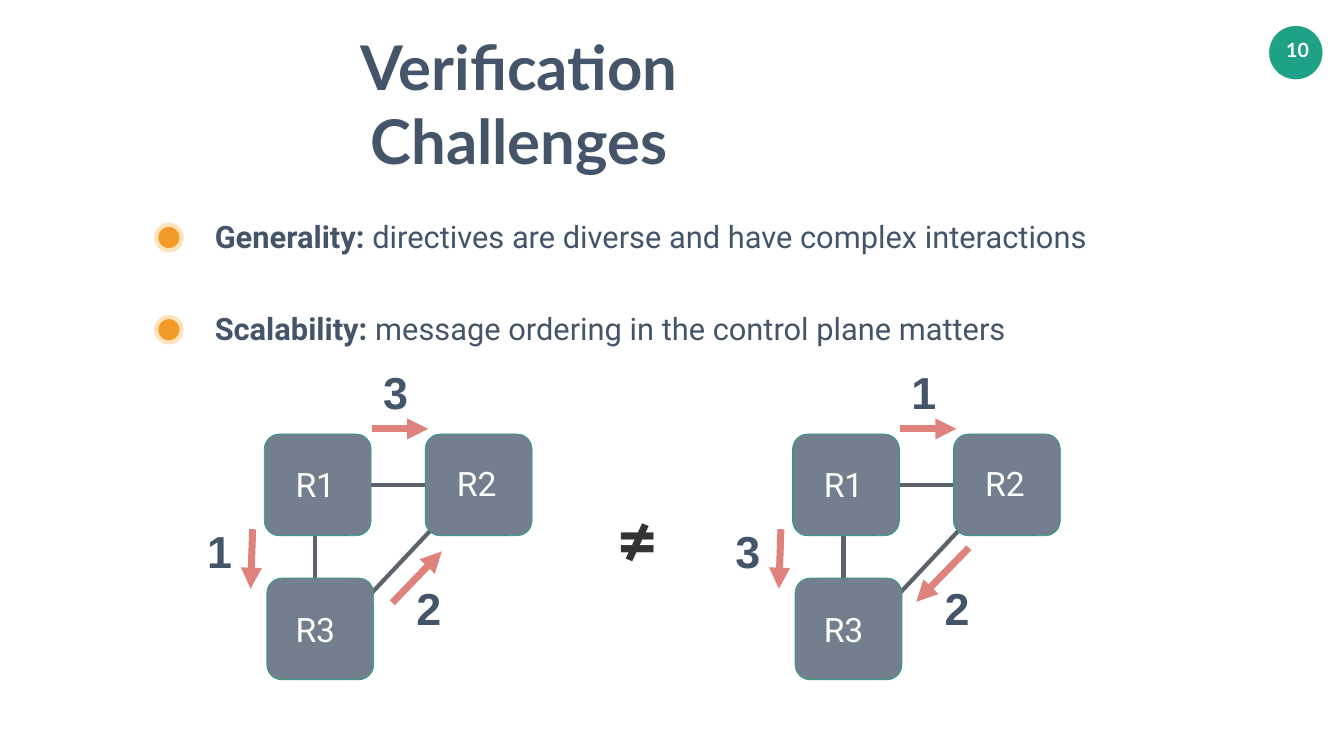
from lxml import etree
from pptx import Presentation
from pptx.dml.color import RGBColor
from pptx.enum.shapes import MSO_CONNECTOR, MSO_SHAPE
from pptx.enum.text import PP_ALIGN
from pptx.oxml.ns import qn
from pptx.util import Pt

LEFT, CENTER, RIGHT = PP_ALIGN.LEFT, PP_ALIGN.CENTER, PP_ALIGN.RIGHT
STRAIGHT = MSO_CONNECTOR.STRAIGHT
OVAL, DONUT = MSO_SHAPE.OVAL, MSO_SHAPE.DONUT
ROUNDED = MSO_SHAPE.ROUNDED_RECTANGLE

COLORS = {
    "green": "1EA185",
    "ink": "445469",
    "node": "737F8E",
    "link": "5C636C",
    "message": "DE827B",
    "halo": "FDE2BB",
    "dot": "F29B27",
    "symbol": "333333",
    "white": "FFFFFF",
}
ROUTER_WIDTH, ROUTER_HEIGHT = 152.6, 145.4
ROUTERS = [
    ("R1", 377.3, 620, 418.3, 658.8),
    ("R2", 607, 620, 648.7, 657.4),
    ("R3", 380.9, 825.8, 418.3, 866.2),
]
LINKS = [(450, 882, 450, 681), (631.4, 692.6, 455, 692.6), (673.2, 695.5, 457.9, 924.5)]
TOP_MESSAGE = (531.4, 612.7, 611.3, 612.7)
SIDE_MESSAGE = (360.7, 756, 357.8, 841)
NETWORKS = [
    (0, "3", "1", (560.2, 861.1, 630.7, 787.7)),
    (754.2, "1", "3", (629, 782.6, 554, 859.7)),
]
BULLETS = [
    (339.3, "Generality:", " directives are diverse and have complex interactions"),
    (471, "Scalability:", " message ordering in the control plane matters"),
]


def color(name):
    return RGBColor.from_string(COLORS[name])


def add_span(para, text, *, font, size, fill="ink", bold=False):
    span = para.add_run()
    span.text = text
    span.font.name = font
    span.font.size = Pt(size)
    span.font.bold = bold
    span.font.color.rgb = color(fill)


class Drawing:
    def __init__(self, slide):
        self.slide = slide
        self.target = slide.shapes

    def start_group(self):
        self.target = self.slide.shapes.add_group_shape().shapes

    def end_group(self):
        self.target = self.slide.shapes

    def shape(self, kind, left, top, width, height, fill, outline=None, weight=1, adjustment=None):
        shape = self.target.add_shape(kind, Pt(left), Pt(top), Pt(width), Pt(height))
        shape.shadow.inherit = False
        shape.fill.solid()
        shape.fill.fore_color.rgb = color(fill)
        if outline:
            shape.line.color.rgb = color(outline)
            shape.line.width = Pt(weight)
        else:
            shape.line.fill.background()
        if adjustment is not None:
            shape.adjustments[0] = adjustment

    def line(self, ends, stroke, weight, arrow=False):
        connector = self.target.add_connector(STRAIGHT, *map(Pt, ends))
        connector.line.color.rgb = color(stroke)
        connector.line.width = Pt(weight)
        properties = connector._element.spPr
        if arrow:
            etree.SubElement(properties.find(qn("a:ln")), qn("a:tailEnd"), type="triangle")
        etree.SubElement(properties, qn("a:effectLst"))

    def text(self, left, top, width, height, spans, align=LEFT, inset=3.6, wrap=True):
        box = self.target.add_textbox(Pt(left), Pt(top), Pt(width), Pt(height))
        frame = box.text_frame
        frame.word_wrap = wrap
        frame.margin_left = frame.margin_right = Pt(inset)
        frame.margin_top = frame.margin_bottom = Pt(inset)
        para = frame.paragraphs[0]
        para.alignment = align
        for text, style in spans:
            add_span(para, text, **style)

    def bullet(self, middle, term, detail):
        self.start_group()
        self.shape(DONUT, 220, middle - 21.2, 42.4, 42.4, "halo", adjustment=0.15)
        self.shape(OVAL, 226, middle - 15.1, 30.2, 30.2, "dot")
        self.end_group()
        style = {"font": "Roboto", "size": 44}
        spans = [(term, {**style, "bold": True}), (detail, style)]
        self.text(303, middle - 32.5, 1284, 60.5, spans)

    def step(self, number, left, top):
        style = {"font": "Arial", "size": 64, "bold": True}
        self.text(left, top, 46.8, 77.8, [(number, style)], align=RIGHT, inset=7.2)

    def network(self, shift, top_step, side_step, diagonal):
        def moved(ends):
            x1, y1, x2, y2 = ends
            return x1 + shift, y1, x2 + shift, y2

        self.start_group()
        for ends in LINKS:
            self.line(moved(ends), "link", 6)
        label_style = {"font": "Roboto", "size": 48, "fill": "white"}
        for name, left, top, label_left, label_top in ROUTERS:
            self.shape(ROUNDED, left + shift, top, ROUTER_WIDTH, ROUTER_HEIGHT,
                       "node", outline="green", adjustment=0.148)
            self.text(label_left + shift, label_top, 69.8, 65.5,
                      [(name, label_style)], wrap=False)
        for ends in (TOP_MESSAGE, diagonal, SIDE_MESSAGE):
            self.line(moved(ends), "message", 10, arrow=True)
        for number, left, top in ((top_step, 540, 514), ("2", 587.5, 823), (side_step, 288.7, 741.6)):
            self.step(number, left + shift, top)
        self.end_group()


def main():
    deck = Presentation()
    deck.slide_width, deck.slide_height = Pt(1918.8), Pt(1080)
    drawing = Drawing(deck.slides.add_slide(deck.slide_layouts[6]))

    drawing.shape(OVAL, 1812.2, 37.4, 75.6, 75.6, "green", outline="green", weight=0.5)
    page_style = {"font": "Lato", "size": 28, "bold": True, "fill": "white"}
    drawing.text(1822, 47.5, 61, 48.2, [("10", page_style)], align=CENTER, inset=7.2)
    title_style = {"font": "Lato", "size": 88, "bold": True}
    drawing.text(505, 38.2, 472, 218, [("Verification Challenges", title_style)], align=CENTER)

    for bullet in BULLETS:
        drawing.bullet(*bullet)
    for network in NETWORKS:
        drawing.network(*network)
    symbol_style = {"font": "Open Sans", "size": 96, "bold": True, "fill": "symbol"}
    drawing.text(875.5, 706.4, 93.6, 123.8, [("≠", symbol_style)], inset=7.2)

    deck.save("out.pptx")


if __name__ == "__main__":
    main()
